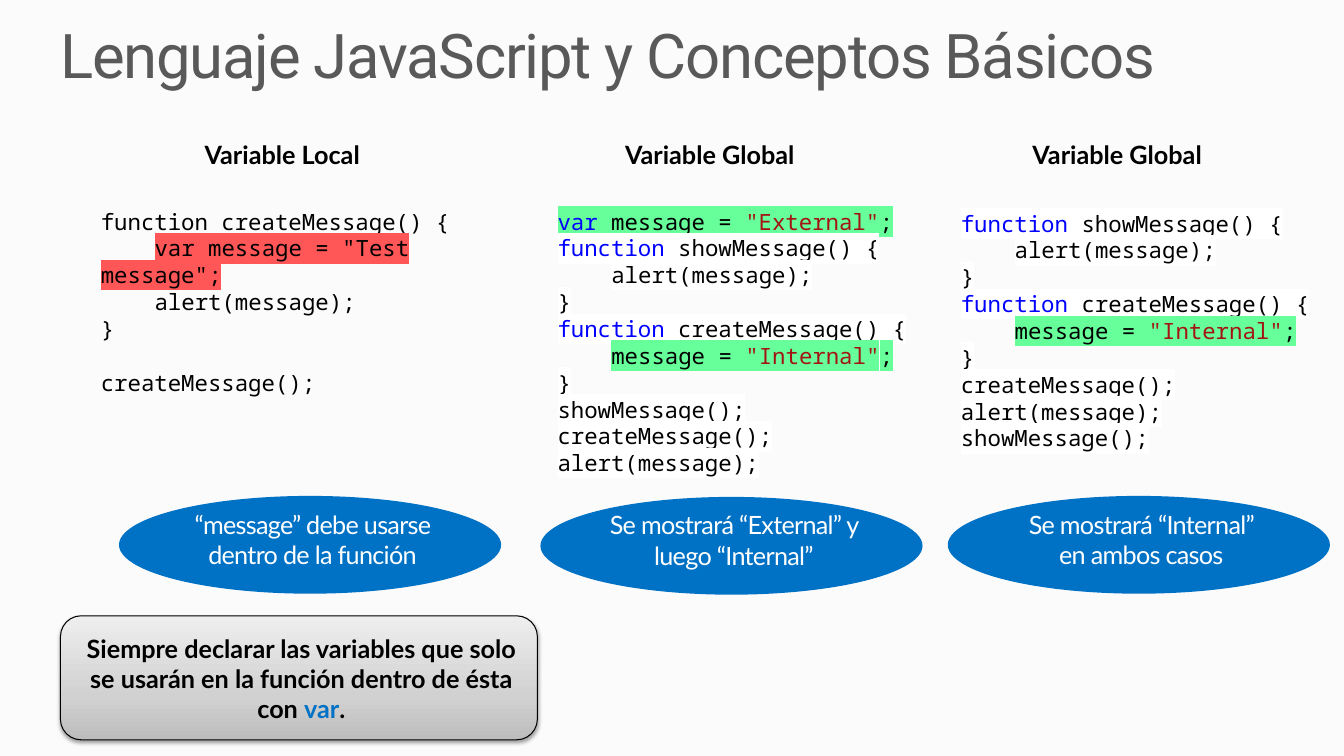
from lxml.etree import SubElement
from pptx import Presentation
from pptx.dml.color import RGBColor
from pptx.enum.shapes import MSO_SHAPE as SHAPE
from pptx.enum.text import MSO_ANCHOR as ANCHOR, PP_ALIGN as ALIGN
from pptx.oxml.ns import qn
from pptx.util import Inches, Pt

COLORS = {
    "background": "FBFBFB", "title": "595959", "black": "000000",
    "white": "FFFFFF", "blue": "0072C6", "keyword": "0000FF",
    "string": "A31515", "green": "66FF99", "red": "FF5757",
}
BUTTON_STOPS = [(0, "BDBDBD"), (35, "D1D1D1"), (100, "EEEEEE")]

TITLE = "Lenguaje JavaScript y Conceptos Básicos"
RULE = [("Siempre declarar las variables que solo se usarán en la función "
         "dentro de ésta con ", "black"), ("var", "blue"), (".", "black")]

# A code line is a list of runs: text, colour, highlight. A tab indents it.
SHOW = [[("function", "keyword", "white"), (" showMessage() {", "black", "white")],
        [("\talert(message);", "black", "white")],
        [("}", "black", "white")]]
CREATE = [[("function", "keyword", "white"), (" createMessage() {", "black", "white")],
          [("\tmessage = ", "black", "green"), ('"Internal"', "string", "green"),
           (";", "black", "green")],
          [("}", "black", "white")]]
EXTERNAL = [[("var", "keyword", "green"), (" message = ", "black", "green"),
             ('"External"', "string", "green"), (";", "black", "green")]]
CALL_SHOW = [[("showMessage();", "black", "white")]]
CALL_CREATE = [[("createMessage();", "black", "white")]]
CALL_ALERT = [[("alert(message);", "black", "white")]]
LOCAL = [[("function createMessage() {", "black", None)],
         [('\tvar message = "Test message";', "black", "red")],
         [("\talert(message);", "black", None)],
         [("}", "black", None)],
         [("createMessage();", "black", None)]]

# heading, heading left, code, code box, line after a gap, note, note left and top
COLUMNS = [
    ("Variable Local", 2.03, LOCAL, (1, 2.06, 4.35, 1.62), 4,
     "“message” debe usarse dentro de la función", 1.18, 4.92),
    ("Variable Global", 6.2,
     EXTERNAL + SHOW + CREATE + CALL_SHOW + CALL_CREATE + CALL_ALERT,
     (5.53, 2.06, 4.35, 2.69), None,
     "Se mostrará “External” y luego “Internal”", 5.36, 4.93),
    ("Variable Global", 10.24,
     SHOW + CREATE + CALL_CREATE + CALL_ALERT + CALL_SHOW,
     (9.53, 2.08, 3.52, 2.42), None,
     "Se mostrará “Internal” en ambos casos", 9.4, 4.92),
]
CODE_SIZE = 16
CODE_LINE = Pt(1.2 * CODE_SIZE)
CODE_INDENT = Pt(4 * 0.6 * CODE_SIZE)


def rgb(name):
    return RGBColor.from_string(COLORS[name])


def add_run(p, text, color, font, size, bold=False, spacing=None, highlight=None):
    r = p.add_run()
    r.text = text
    r.font.name, r.font.size, r.font.bold = font, Pt(size), bold
    r.font.color.rgb = rgb(color)
    rpr = r.font._element
    if spacing is not None:
        rpr.set("spc", str(round(spacing * 100)))
    if highlight:
        mark = SubElement(rpr, qn("a:highlight"))
        SubElement(mark, qn("a:srgbClr")).set("val", COLORS[highlight])
        rpr.find(qn("a:solidFill")).addnext(mark)


def set_frame(tf, margins=(0, 0, 0, 0), anchor=ANCHOR.TOP):
    tf.word_wrap = True
    tf.vertical_anchor = anchor
    tf.margin_left, tf.margin_top, tf.margin_right, tf.margin_bottom = map(Inches, margins)
    return tf


def add_text_box(slide, box):
    return set_frame(slide.shapes.add_textbox(*map(Inches, box)).text_frame)


def add_label_shape(slide, kind, box):
    """Add a preset shape with one centred paragraph; return both."""
    s = slide.shapes.add_shape(kind, *map(Inches, box))
    s.shadow.inherit = False
    tf = set_frame(s.text_frame, (0.1, 0.05, 0.05, 0.1), ANCHOR.BOTTOM)
    p = tf.paragraphs[0]
    p.alignment = ALIGN.CENTER
    return s, p


def add_heading(slide, text, left):
    p = add_text_box(slide, (left, 1.42, 2.1, 0.27)).paragraphs[0]
    p.line_spacing = 0.9
    add_run(p, text, "black", "Lato", 18, bold=True)


def add_code(slide, lines, box, gap_line):
    tf = add_text_box(slide, box)
    for i, line in enumerate(lines):
        p = tf.paragraphs[0] if i == 0 else tf.add_paragraph()
        if line[0][0].startswith("\t"):
            p._p.get_or_add_pPr().set("indent", str(CODE_INDENT))
        if i == gap_line:
            p.space_before = CODE_LINE
        for text, color, highlight in line:
            add_run(p, text.lstrip("\t"), color, "Noto Sans Mono", CODE_SIZE,
                    highlight=highlight)


def add_note(slide, text, left, top):
    s, p = add_label_shape(slide, SHAPE.OVAL, (left, top, 3.79, 0.97))
    s.fill.solid()
    s.fill.fore_color.rgb = rgb("blue")
    s.line.fill.background()
    add_run(p, text, "white", "Lato", 18, spacing=-0.5)


def add_rule(slide):
    s, p = add_label_shape(slide, SHAPE.ROUNDED_RECTANGLE, (0.6, 6.11, 4.73, 1.23))
    s.fill.gradient()
    s.fill.gradient_angle = 90
    stops = s._element.spPr.find(".//" + qn("a:gsLst"))
    for stop in list(stops):
        stops.remove(stop)
    for position, color in BUTTON_STOPS:
        stop = SubElement(stops, qn("a:gs"), pos=str(position * 1000))
        SubElement(stop, qn("a:srgbClr"), val=color)
    s.line.color.rgb = rgb("black")
    s.line.width = Pt(0.75)
    shadow = SubElement(s._element.spPr.find(qn("a:effectLst")), qn("a:outerShdw"),
                        blurRad=str(Pt(3.1)), dist=str(Pt(1.6)),
                        dir="5400000", rotWithShape="0")
    tint = SubElement(shadow, qn("a:srgbClr"), val=COLORS["black"])
    SubElement(tint, qn("a:alpha"), val="38000")
    for text, color in RULE:
        add_run(p, text, color, "Lato", 18, bold=True)


def add_title(slide):
    s = slide.shapes.title
    s.left, s.top, s.width, s.height = map(Inches, (0.6, 0.25, 12.2, 0.67))
    p = set_frame(s.text_frame).paragraphs[0]
    p.alignment = ALIGN.LEFT
    p.line_spacing = 0.9
    add_run(p, TITLE, "title", "Roboto", 44, spacing=-0.9)


def main():
    prs = Presentation()
    prs.slide_width, prs.slide_height = Inches(13.33), Inches(7.5)
    slide = prs.slides.add_slide(prs.slide_layouts[5])
    slide.background.fill.solid()
    slide.background.fill.fore_color.rgb = rgb("background")
    add_title(slide)
    for heading, heading_left, code, code_box, gap_line, note, left, top in COLUMNS:
        add_heading(slide, heading, heading_left)
        add_code(slide, code, code_box, gap_line)
        add_note(slide, note, left, top)
    add_rule(slide)
    prs.save("out.pptx")


if __name__ == "__main__":
    main()
